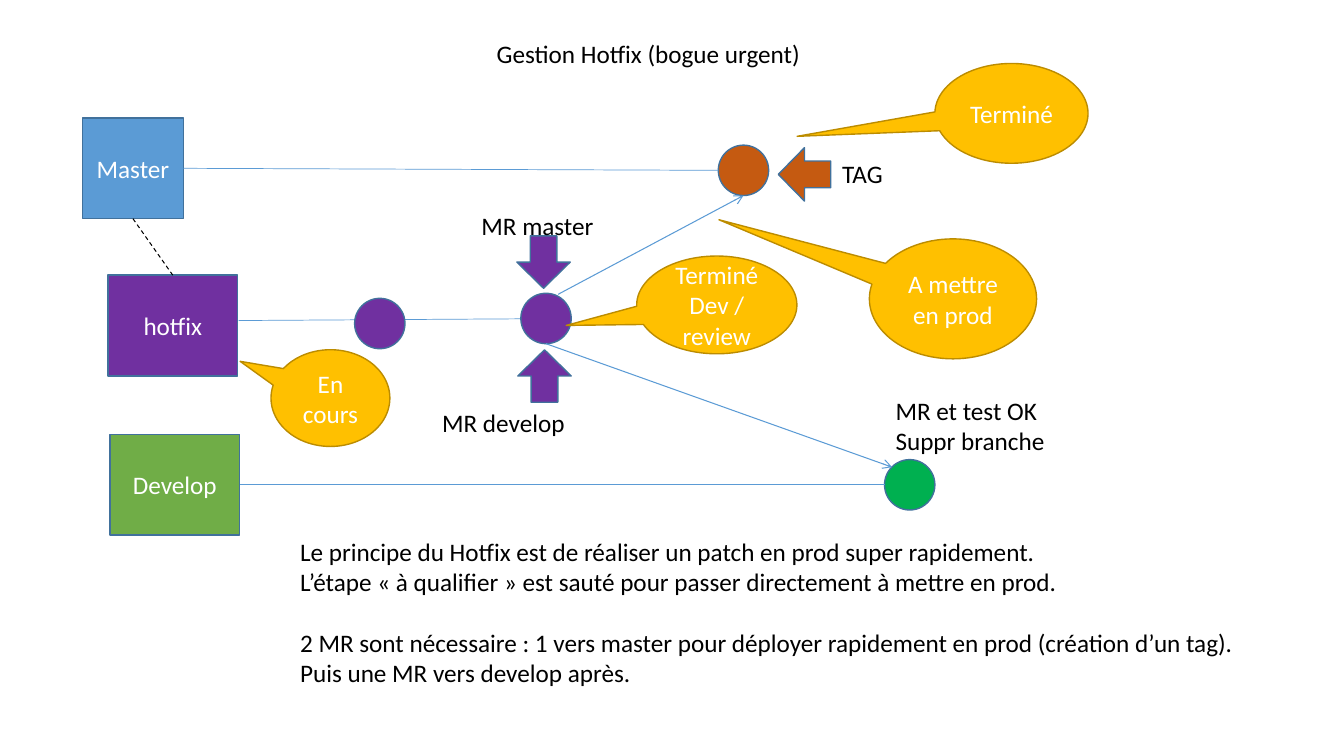
from dataclasses import dataclass

from pptx import Presentation
from pptx.dml.color import RGBColor
from pptx.enum.dml import MSO_LINE
from pptx.enum.shapes import MSO_CONNECTOR, MSO_SHAPE as Preset
from pptx.enum.text import MSO_ANCHOR as Anchor, MSO_AUTO_SIZE as AutoSize, PP_ALIGN as Align
from pptx.oxml.ns import qn
from pptx.util import Inches, Pt
from lxml.etree import SubElement

COLUMNS, ROWS = 133.4, 75
WIDTH, HEIGHT = Inches(13.34), Inches(7.5)


@dataclass(frozen=True)
class Theme:
    font: str = "Calibri"
    size: float = 18
    ink: str = "000000"
    light: str = "FFFFFF"
    master: str = "5B9BD5"
    hotfix: str = "7030A0"
    develop: str = "70AD47"
    release: str = "C55A11"
    merged: str = "00B050"
    status: str = "FFC000"
    status_edge: str = "BC8C00"
    edge: str = "41719C"
    outline: float = 1
    branch_line: float = 0.5
    merge_line: float = 0.75


THEME = Theme()


def across(columns):
    return round(WIDTH * columns / COLUMNS)


def down(rows):
    return round(HEIGHT * rows / ROWS)


def cells(left, top, width, height):
    return across(left), down(top), across(width), down(height)


def on_edge(node, share_x, share_y):
    return node.left + round(node.width * share_x), node.top + round(node.height * share_y)


def write(frame, text, color=THEME.ink, align=Align.LEFT, anchor=Anchor.TOP,
          wrap=False, fit=AutoSize.NONE, gap_before=()):
    frame.word_wrap = wrap
    frame.auto_size = fit
    frame.vertical_anchor = anchor
    frame.margin_left = frame.margin_right = Inches(0.1)
    frame.margin_top = frame.margin_bottom = Inches(0.05)
    for index, line in enumerate(text.split("\n")):
        paragraph = frame.add_paragraph() if index else frame.paragraphs[0]
        paragraph.text = line
        paragraph.alignment = align
        paragraph.line_spacing = 1.0
        paragraph.space_before = Pt(THEME.size * 1.22 if index in gap_before else 0)
        for run in paragraph.runs:
            run.font.name = THEME.font
            run.font.size = Pt(THEME.size)
            run.font.color.rgb = RGBColor.from_string(color)


def add_title(slide, area, text):
    title = slide.shapes.title
    title.left, title.top, title.width, title.height = cells(*area)
    write(title.text_frame, text)


def add_label(slide, area, text, **style):
    label = slide.shapes.add_textbox(*cells(*area))
    write(label.text_frame, text, fit=AutoSize.SHAPE_TO_FIT_TEXT, **style)


def add_node(slide, preset, area, fill, text="", edge=THEME.edge):
    node = slide.shapes.add_shape(preset, *cells(*area))
    node.shadow.inherit = False
    node.fill.solid()
    node.fill.fore_color.rgb = RGBColor.from_string(fill)
    node.line.color.rgb = RGBColor.from_string(edge)
    node.line.width = Pt(THEME.outline)
    if text:
        write(node.text_frame, text, color=THEME.light, align=Align.CENTER,
              anchor=Anchor.MIDDLE, wrap=True)
    return node


def add_branch(slide, area, fill, text):
    return add_node(slide, Preset.RECTANGLE, area, fill, text)


def add_commit(slide, left, top, fill):
    return add_node(slide, Preset.FLOWCHART_CONNECTOR, (left, top, 5, 5), fill)


def add_pointer(slide, left, top, fill, rotation=0):
    pointer = add_node(slide, Preset.UP_ARROW, (left, top, 5.3, 5.2), fill)
    pointer.rotation = rotation


def add_status(slide, area, text, tip):
    status = add_node(slide, Preset.OVAL_CALLOUT, area, THEME.status, text, THEME.status_edge)
    status.adjustments[0], status.adjustments[1] = tip


def add_link(slide, start, end, color=THEME.master, width=THEME.branch_line,
             dashed=False, arrow=False):
    link = slide.shapes.add_connector(MSO_CONNECTOR.STRAIGHT, *start, *end)
    link.line.color.rgb = RGBColor.from_string(color)
    link.line.width = Pt(width)
    if dashed:
        link.line.dash_style = MSO_LINE.DASH
    if arrow:
        SubElement(link.line._get_or_add_ln(), qn("a:tailEnd"), type="arrow")
    SubElement(link._element.spPr, qn("a:effectLst"))


def main():
    deck = Presentation()
    deck.slide_width, deck.slide_height = WIDTH, HEIGHT
    slide = deck.slides.add_slide(deck.slide_layouts[5])
    add_title(slide, (48.3, 3.3, 32.2, 4), "Gestion Hotfix (bogue urgent)")

    master = add_branch(slide, (8.2, 11.7, 10, 10), THEME.master, "Master")
    hotfix = add_branch(slide, (10.7, 27.3, 12.9, 10), THEME.hotfix, "hotfix")
    develop = add_branch(slide, (10.9, 43.1, 12.9, 10), THEME.develop, "Develop")

    add_link(slide, (across(23.7), down(31.8)), (across(56.7), down(31.6)))
    add_commit(slide, 35.2, 29.6, THEME.hotfix)
    review = add_commit(slide, 51.7, 29.1, THEME.hotfix)
    release = add_commit(slide, 71.3, 14.4, THEME.release)
    merged = add_commit(slide, 87.8, 45.6, THEME.merged)

    add_link(slide, on_edge(master, 0.5, 1), on_edge(hotfix, 0.5, 0),
             color=THEME.ink, width=THEME.merge_line, dashed=True)
    add_link(slide, on_edge(master, 1, 0.5), on_edge(release, 0, 0.5))
    add_link(slide, on_edge(develop, 1, 0.5), on_edge(merged, 0, 0.5))
    for start, end in (
        (on_edge(review, 0.74, 0.02), on_edge(release, 0.5, 1)),
        (on_edge(review, 0.5, 1), on_edge(merged, 0.15, 0.15)),
    ):
        add_link(slide, start, end, width=THEME.merge_line, arrow=True)

    add_pointer(slide, 77.2, 14.7, THEME.release, rotation=270)
    add_pointer(slide, 51.3, 23.4, THEME.hotfix, rotation=180)
    add_pointer(slide, 51.4, 34.7, THEME.hotfix)

    for area, text, tip in (
        ((26.9, 34.7, 11.8, 9.6), "En cours", (-0.76, -0.38)),
        ((63.2, 25.4, 15.9, 9.7), "Terminé Dev / review", (-0.94, 0.21)),
        ((86.3, 23.7, 16.6, 11.9), "A mettre en prod", (-1.4, -0.66)),
        ((92.8, 6.3, 15.2, 9.9), "Terminé", (-1.4, 0.23)),
    ):
        add_status(slide, area, text, tip)

    for area, text in (
        ((82.6, 15.2, 6.2, 4), "TAG"),
        ((46.8, 20.4, 13.2, 4), "MR master"),
        ((42.9, 39.9, 14.2, 4), "MR develop"),
        ((87.9, 38.7, 16.8, 7), "MR et test OK\vSuppr branche"),
    ):
        add_label(slide, area, text)

    add_label(
        slide, (28.8, 52.7, 95.1, 16),
        "Le principe du Hotfix est de réaliser un patch en prod super rapidement.\n"
        "L’étape «\u00a0à qualifier\u00a0» est sauté pour passer directement à mettre en prod.\n"
        "2 MR sont nécessaire : 1 vers master pour déployer rapidement en prod "
        "(création d’un tag).\n"
        "Puis une MR vers develop après.",
        gap_before=(2,),
    )
    deck.save("out.pptx")


main()
